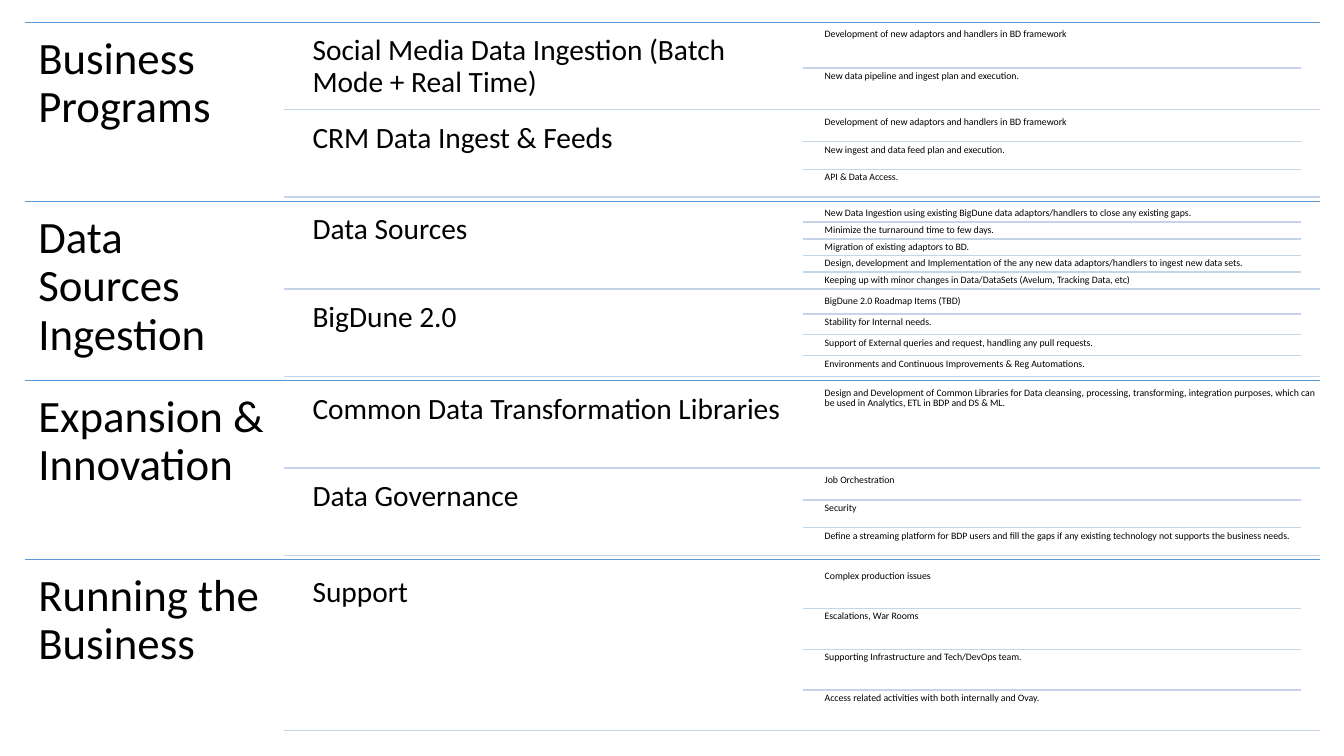
from dataclasses import dataclass

from lxml.etree import SubElement
from pptx import Presentation
from pptx.dml.color import RGBColor
from pptx.enum.shapes import MSO_CONNECTOR
from pptx.enum.text import MSO_ANCHOR, PP_ALIGN
from pptx.oxml.ns import qn
from pptx.util import Inches, Pt


@dataclass(frozen=True)
class Theme:
    """Colours, font and type sizes of the slide."""
    font: str = "Calibri"
    ink: RGBColor = RGBColor(0x00, 0x00, 0x00)
    section_rule: RGBColor = RGBColor(0x5B, 0x9B, 0xD5)
    detail_rule: RGBColor = RGBColor(0xC4, 0xD5, 0xEB)
    section_size: float = 32
    topic_size: float = 21
    task_size: float = 7


theme = Theme()

PROGRAMS = {
    "Business Programs": {
        "Social Media Data Ingestion (Batch Mode + Real Time)": [
            "Development of new adaptors and handlers in BD framework",
            "New data pipeline and ingest plan and execution.",
        ],
        "CRM Data Ingest & Feeds": [
            "Development of new adaptors and handlers in BD framework",
            "New ingest and data feed plan and execution.",
            "API & Data Access.",
        ],
    },
    "Data Sources Ingestion": {
        "Data Sources": [
            "New Data Ingestion using existing BigDune data adaptors/handlers to close any existing gaps.",
            "Minimize the turnaround time to few days.",
            "Migration of existing adaptors to BD.",
            "Design, development and Implementation of the any new data adaptors/handlers to ingest new data sets.",
            "Keeping up with minor changes in Data/DataSets (Avelum, Tracking Data, etc)",
        ],
        "BigDune 2.0": [
            "BigDune 2.0 Roadmap Items (TBD)",
            "Stability for Internal needs.",
            "Support of External queries and request, handling any pull requests.",
            "Environments and Continuous Improvements & Reg Automations.",
        ],
    },
    "Expansion & Innovation": {
        "Common Data Transformation Libraries": [
            "Design and Development of Common Libraries for Data cleansing, processing, transforming, "
            "integration purposes, which can be used in Analytics, ETL in BDP and DS & ML.",
        ],
        "Data Governance": [
            "Job Orchestration",
            "Security",
            "Define a streaming platform for BDP users and fill the gaps if any existing technology "
            "not supports the business needs.",
        ],
    },
    "Running the Business": {
        "Support": [
            "Complex production issues",
            "Escalations, War Rooms",
            "Supporting Infrastructure and Tech/DevOps team.",
            "Access related activities with both internally and Ovay.",
        ],
    },
}

LEFT, RIGHT, TOP, BOTTOM = 0.25, 13.09, 0.22, 7.33
SECTION_WIDTH, COLUMN_WIDTH = 2.57, 4.94
TOPIC_LEFT, TASK_LEFT = 3.01, 8.15
TOPIC_RULE_LEFT, TASK_RULE_LEFT = 2.82, 7.96
GAP_RATIO = 0.05  # gap around topics, as a share of topic height

prs = Presentation()
prs.slide_width, prs.slide_height = Inches(13.33), Inches(7.5)
slide = prs.slides.add_slide(prs.slide_layouts[6])


def add_rule(left, right, y, color, weight):
    """Draw a horizontal rule without a shadow."""
    rule = slide.shapes.add_connector(
        MSO_CONNECTOR.STRAIGHT, Inches(left), Inches(y), Inches(right), Inches(y))
    rule.line.color.rgb = color
    rule.line.width = Pt(weight)
    SubElement(rule.element.spPr, qn("a:effectLst"))


def add_label(text, left, top, width, height, size, inset):
    """Place a top-left aligned label with an equal inset on all sides."""
    frame = slide.shapes.add_textbox(
        Inches(left), Inches(top), Inches(width), Inches(height)).text_frame
    frame.word_wrap = True
    frame.vertical_anchor = MSO_ANCHOR.TOP
    frame.margin_left = frame.margin_right = Inches(inset)
    frame.margin_top = frame.margin_bottom = Inches(inset)
    paragraph = frame.paragraphs[0]
    paragraph.text = text
    paragraph.alignment = PP_ALIGN.LEFT
    paragraph.line_spacing = 0.9
    paragraph.font.name = theme.font
    paragraph.font.size = Pt(size)
    paragraph.font.color.rgb = theme.ink


section_height = (BOTTOM - TOP) / len(PROGRAMS)
for section_index, (section, topics) in enumerate(PROGRAMS.items()):
    section_top = TOP + section_index * section_height
    add_rule(LEFT, RIGHT, section_top, theme.section_rule, 0.5)
    add_label(section, LEFT, section_top, SECTION_WIDTH, section_height,
              theme.section_size, 0.13)

    topic_height = section_height / (len(topics) + (len(topics) + 1) * GAP_RATIO)
    gap = topic_height * GAP_RATIO
    for topic_index, (topic, tasks) in enumerate(topics.items()):
        topic_top = section_top + gap + topic_index * (topic_height + gap)
        add_label(topic, TOPIC_LEFT, topic_top, COLUMN_WIDTH, topic_height,
                  theme.topic_size, 0.09)

        task_height = topic_height / len(tasks)
        for task_index, task in enumerate(tasks):
            task_top = topic_top + task_index * task_height
            if task_index:
                add_rule(TASK_RULE_LEFT, TASK_RULE_LEFT + COLUMN_WIDTH, task_top,
                         theme.detail_rule, 1)
            add_label(task, TASK_LEFT, task_top, COLUMN_WIDTH, task_height,
                      theme.task_size, 0.03)
        add_rule(TOPIC_RULE_LEFT, RIGHT, topic_top + topic_height, theme.detail_rule, 1)

prs.save("out.pptx")
